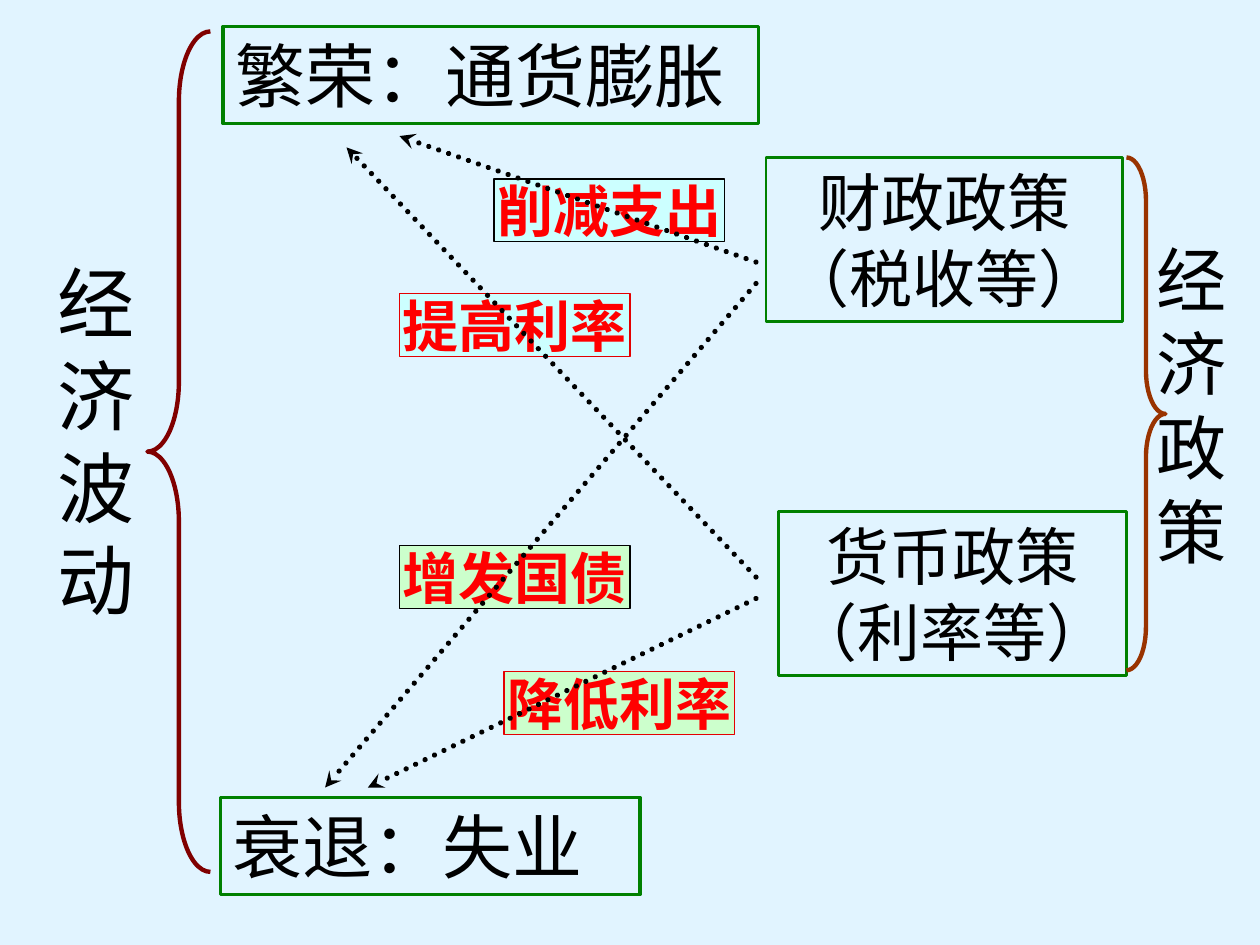
from pptx import Presentation
from pptx.dml.color import RGBColor
from pptx.enum.dml import MSO_LINE
from pptx.enum.lang import MSO_LANGUAGE_ID
from pptx.enum.shapes import MSO_CONNECTOR, MSO_SHAPE
from pptx.enum.text import MSO_ANCHOR, PP_ALIGN
from pptx.oxml.ns import qn
from pptx.util import Inches, Pt
from lxml import etree

RECTANGLE = MSO_SHAPE.RECTANGLE
LEFT_BRACE, RIGHT_BRACE = MSO_SHAPE.LEFT_BRACE, MSO_SHAPE.RIGHT_BRACE
STRAIGHT = MSO_CONNECTOR.STRAIGHT
ROUND_DOT = MSO_LINE.ROUND_DOT
TOP, MIDDLE = MSO_ANCHOR.TOP, MSO_ANCHOR.MIDDLE
LEFT, CENTER = PP_ALIGN.LEFT, PP_ALIGN.CENTER
CHINESE = MSO_LANGUAGE_ID.SIMPLIFIED_CHINESE

FONT = "Times New Roman"
PALE_BLUE = RGBColor(0xE1, 0xF4, 0xFF)
CYAN = RGBColor(0xCC, 0xFF, 0xFF)
MINT = RGBColor(0xCC, 0xFF, 0xCC)
BLACK = RGBColor(0, 0, 0)
GREEN = RGBColor(0, 0x80, 0)
RED = RGBColor(0xFF, 0, 0)
DARK_RED = RGBColor(0xE4, 0, 0)
MAROON = RGBColor(0x80, 0, 0)
BROWN = RGBColor(0x99, 0x33, 0)

LABEL_SIZE = (1.83, 0.5)
POLICY_EDGE = 6  # where every arrow starts


def write_text(box, lines, size, color=BLACK, bold=False, align=LEFT,
               anchor=TOP, wrap=True):
    frame = box.text_frame
    frame.word_wrap = wrap
    frame.vertical_anchor = anchor
    for index, line in enumerate(lines):
        para = frame.paragraphs[0] if index == 0 else frame.add_paragraph()
        para.alignment = align
        span = para.add_run()
        span.text = line
        span.font.name = FONT
        span.font.size = Pt(size)
        span.font.bold = bold
        span.font.color.rgb = color
        span.font.language_id = CHINESE


def add_outline(page, kind, place, color, width, fill=None):
    shape = page.shapes.add_shape(kind, *map(Inches, place))
    shape.shadow.inherit = False
    if fill is None:
        shape.fill.background()
    else:
        shape.fill.solid()
        shape.fill.fore_color.rgb = fill
    shape.line.color.rgb = color
    shape.line.width = Pt(width)
    return shape


def add_box(page, place, lines, size, width, align=LEFT):
    box = add_outline(page, RECTANGLE, place, GREEN, width)
    write_text(box, lines, size, align=align)


def add_brace(page, kind, place, color):
    brace = add_outline(page, kind, place, color, 2.5)
    brace.adjustments[0] = 1.11


def add_vertical_text(page, place, word, size):
    box = page.shapes.add_textbox(*map(Inches, place))
    write_text(box, word, size)  # one character to a paragraph


def add_label(page, left, top, text, fill, border):
    label = add_outline(page, RECTANGLE, (left, top, *LABEL_SIZE),
                        border, 0.75, fill)
    write_text(label, [text], 32, color=RED, bold=True, align=CENTER,
               anchor=MIDDLE, wrap=False)


def add_arrow(page, start_top, end):
    points = (POLICY_EDGE, start_top, *end)
    arrow = page.shapes.add_connector(STRAIGHT, *map(Inches, points))
    arrow.line.color.rgb = BLACK
    arrow.line.width = Pt(3)
    arrow.line.dash_style = ROUND_DOT
    line = arrow.line._get_or_add_ln()
    line.set("cap", "rnd")
    etree.SubElement(line, qn("a:tailEnd"), type="stealth")
    etree.SubElement(arrow._element.spPr, qn("a:effectLst"))


def main():
    deck = Presentation()
    deck.slide_width, deck.slide_height = Inches(10), Inches(7.5)
    page = deck.slides.add_slide(deck.slide_layouts[6])
    page.background.fill.solid()
    page.background.fill.fore_color.rgb = PALE_BLUE

    # Economic cycle
    add_vertical_text(page, (0.36, 1.98, 0.85, 3.05), "经济波动", 44)
    add_brace(page, LEFT_BRACE, (1.17, 0.25, 0.5, 6.67), MAROON)
    add_box(page, (1.77, 0.21, 4.25, 0.77), ["繁荣：通货膨胀"], 40, 2)
    add_box(page, (1.75, 6.33, 3.33, 0.77), ["衰退：失业"], 40, 2)

    # Economic policy
    add_vertical_text(page, (9.08, 1.83, 0.75, 3.78), "经济政策", 40)
    add_box(page, (6.08, 1.25, 2.83, 1.3), ["财政政策（税收等）"], 36, 1.5,
            align=CENTER)
    add_box(page, (6.18, 4.06, 2.76, 1.3), ["货币政策", "（利率等）"], 36, 1.5,
            align=CENTER)
    add_brace(page, RIGHT_BRACE, (8.94, 1.25, 0.31, 4.07), BROWN)

    # Measures: each label lies beneath its arrow
    measures = [
        ("提高利率", 3.17, 2.33, CYAN, DARK_RED, 4.58, (2.75, 1.17)),
        ("削减支出", 3.92, 1.42, CYAN, BLACK, 2.08, (3.17, 1.08)),
        ("降低利率", 4, 5.33, MINT, DARK_RED, 4.75, (2.92, 6.25)),
        ("增发国债", 3.17, 4.33, MINT, BLACK, 2.25, (2.58, 6.25)),
    ]
    for text, left, top, fill, border, start_top, end in measures:
        add_label(page, left, top, text, fill, border)
        add_arrow(page, start_top, end)

    deck.save("out.pptx")


if __name__ == "__main__":
    main()
